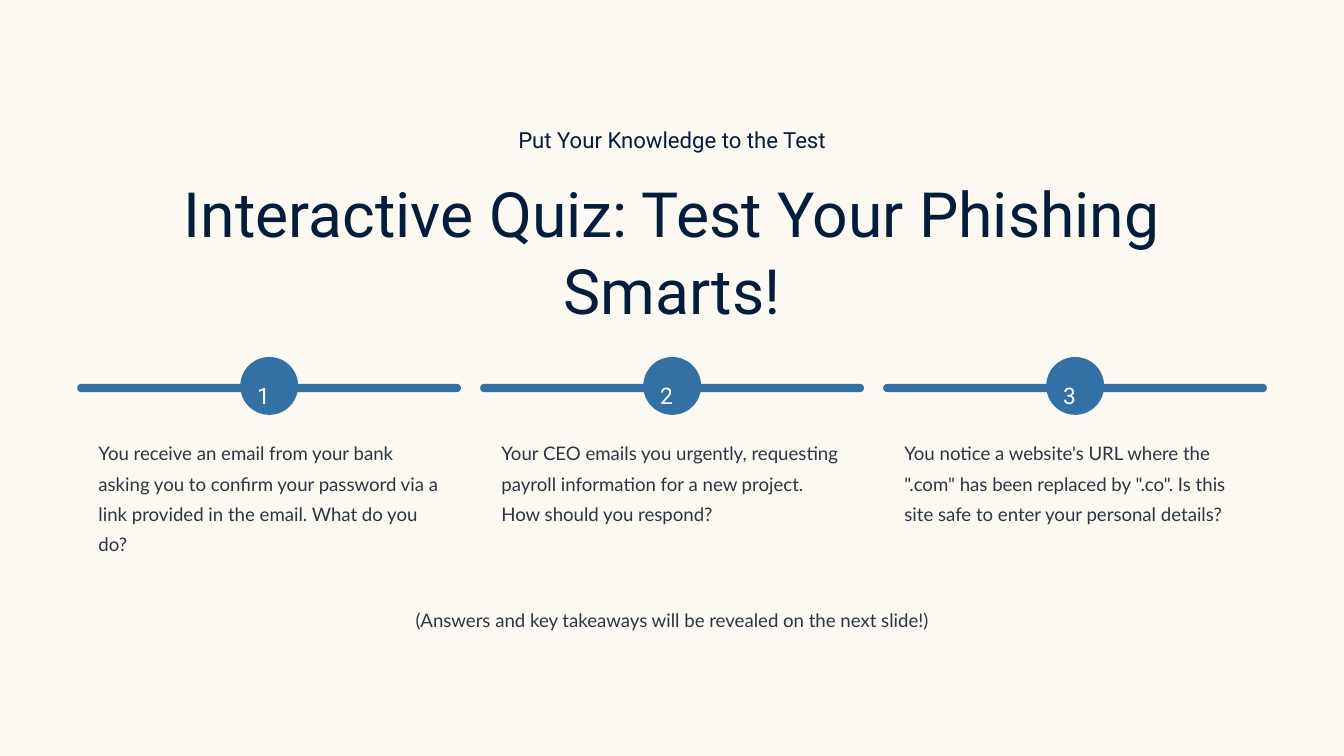
from pptx import Presentation
from pptx.dml.color import RGBColor
from pptx.enum.shapes import MSO_SHAPE as SHAPE
from pptx.enum.text import PP_ALIGN as ALIGN
from pptx.util import Pt

CREAM, NAVY, BLUE, SLATE, WHITE = "FCF9F3", "051D3A", "3371A5", "2B3541", "FFFFFF"
LEFT, WIDTH = 66.2, 1020
COLUMN_W, COLUMN_STEP = 329, 345.4

KICKER = dict(font="Roboto", size=19, color=NAVY, spacing=24, align=ALIGN.CENTER)
TITLE = dict(font="Roboto", size=53.5, color=NAVY, spacing=66.5, align=ALIGN.CENTER)
NUMBER = dict(font="Roboto", size=19.5, color=WHITE, spacing=31.5, align=ALIGN.LEFT)
BODY = dict(font="Lato", size=16, color=SLATE, spacing=26, align=ALIGN.LEFT)
NOTE = dict(BODY, align=ALIGN.CENTER)

QUESTIONS = [
    "You receive an email from your bank asking you to confirm your password "
    "via a link provided in the email. What do you do?",
    "Your CEO emails you urgently, requesting payroll information for a new "
    "project. How should you respond?",
    "You notice a website's URL where the \".com\" has been replaced by "
    "\".co\". Is this site safe to enter your personal details?",
]


def paint(fill, color):
    """Make a fill solid in the given hex colour."""
    fill.solid()
    fill.fore_color.rgb = RGBColor.from_string(color)


def add_shape(s, kind, x, y, w, h, color):
    """Add a plain filled shape without outline or shadow."""
    sp = s.shapes.add_shape(kind, Pt(x), Pt(y), Pt(w), Pt(h))
    paint(sp.fill, color)
    sp.line.fill.background()
    sp.shadow.inherit = False
    return sp


def add_text(s, text, x, y, w, h, style):
    """Add a text box without margins in the given style."""
    tf = s.shapes.add_textbox(Pt(x), Pt(y), Pt(w), Pt(h)).text_frame
    frame = dict(word_wrap=True, margin_left=0, margin_top=0,
                 margin_right=0, margin_bottom=0)
    for name, value in frame.items():
        setattr(tf, name, value)
    p = tf.paragraphs[0]
    p.alignment = style["align"]
    p.line_spacing = Pt(style["spacing"])
    r = p.add_run()
    r.text = text
    for name, value in dict(name=style["font"], size=Pt(style["size"])).items():
        setattr(r.font, name, value)
    paint(r.font.fill, style["color"])


def add_question(s, index, text):
    """Add one quiz column: bar, numbered circle and question."""
    x = LEFT + index * COLUMN_STEP
    bar = add_shape(s, SHAPE.ROUNDED_RECTANGLE, x, 329, COLUMN_W, 7.2, BLUE)
    bar.adjustments[0] = 0.5
    add_shape(s, SHAPE.OVAL, x + 139.8, 306, 49.6, 49.6, BLUE)
    add_text(s, str(index + 1), x + 154.2, 319, 19.4, 24.5, NUMBER)
    add_text(s, text, x + 18.2, 372.2, 292.5, 106, BODY)


def main():
    """Build the quiz slide and save it."""
    prs = Presentation()
    prs.slide_width, prs.slide_height = Pt(1152), Pt(648)
    s = prs.slides.add_slide(prs.slide_layouts[6])
    paint(s.background.fill, CREAM)
    add_text(s, "Put Your Knowledge to the Test", 432.5, 107.3, 287, 24.5, KICKER)
    add_text(s, "Interactive Quiz: Test Your Phishing Smarts!",
             LEFT, 147.6, WIDTH, 134, TITLE)
    for index, text in enumerate(QUESTIONS):
        add_question(s, index, text)
    add_text(s, "(Answers and key takeaways will be revealed on the next slide!)",
             LEFT, 514.8, WIDTH, 26.6, NOTE)
    prs.save("out.pptx")


if __name__ == "__main__":
    main()
